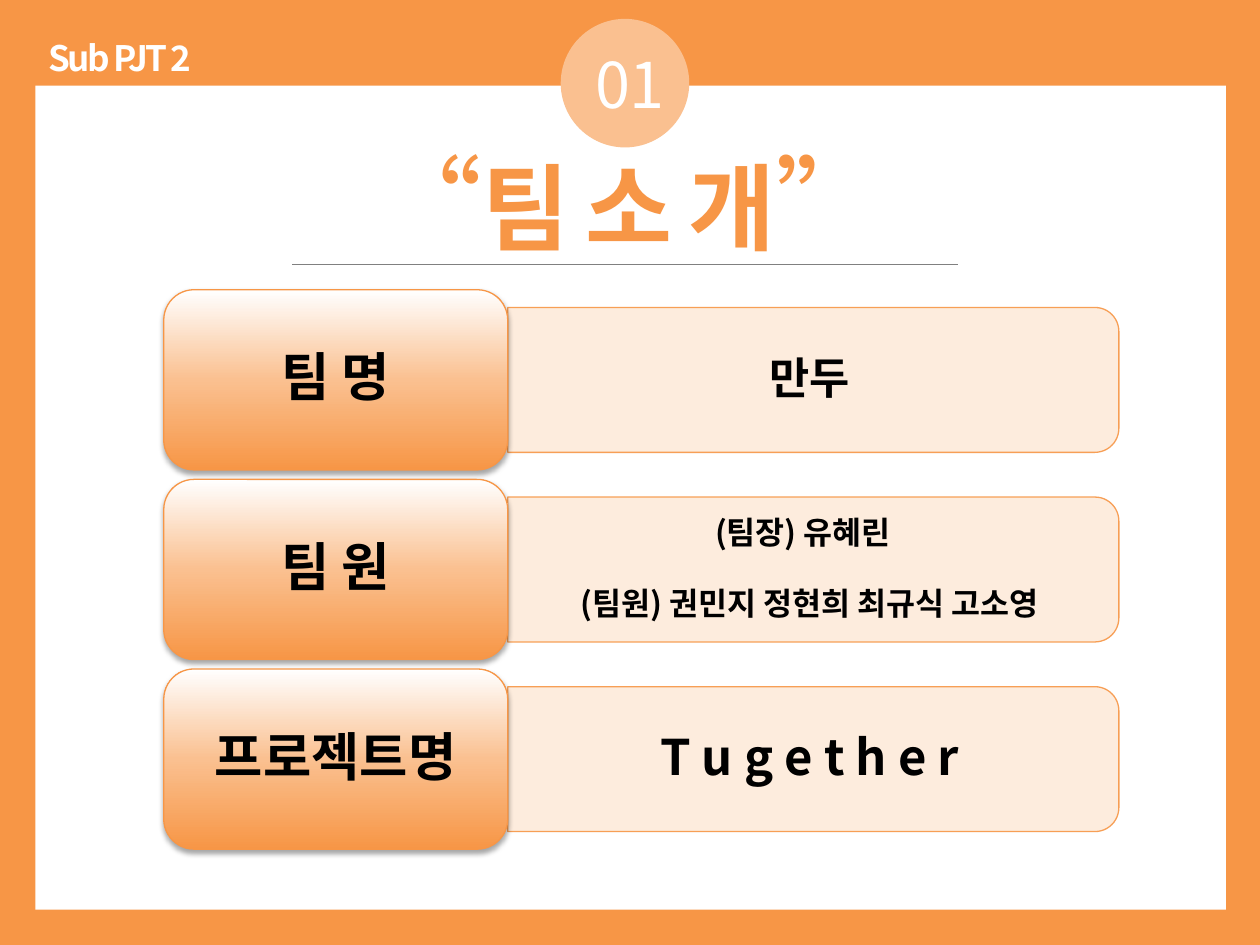
"""Build the team introduction slide."""
import copy
import math

import pptx
import pptx.dml.color
import pptx.enum.dml
import pptx.enum.shapes
import pptx.enum.text
import pptx.oxml
import pptx.oxml.ns
import pptx.util

Inches = pptx.util.Inches
Pt = pptx.util.Pt
qn = pptx.oxml.ns.qn
SHAPE = pptx.enum.shapes.MSO_SHAPE
FONT = "Noto Sans CJK KR"
ORANGE, PEACH, CREAM = "F79646", "FAC090", "FDEADA"
WHITE, BLACK, GRAY = "FFFFFF", "000000", "808080"
ROW_TOP, ROW_PITCH = 2.3, 1.505
LABEL = {"left": 1.3, "width": 2.73, "height": 1.43, "radius": 0.24}
VALUE = {"left": 4.03, "width": 4.85, "height": 1.15, "radius": 0.19}
ROWS = [
    ("팀 명", ["만두"], 25),
    ("팀 원", ["(팀장) 유혜린\t", "(팀원) 권민지 정현희 최규식 고소영"], 18),
    ("프로젝트명", ["T u g e t h e r"], 28),
]


def rgb(color):
    """Turn a hex string into a colour value."""
    return pptx.dml.color.RGBColor.from_string(color)


def set_attrs(obj, values):
    """Set each named value on an object."""
    for name, value in values.items():
        setattr(obj, name, value)


def set_alpha(fill_parent, percent):
    """Make the solid fill inside an element partly transparent."""
    clr = fill_parent.find(qn("a:solidFill"))[0]
    pptx.oxml.ns  # namespace helpers
    alpha = clr.makeelement(qn("a:alpha"), {"val": str(percent * 1000)})
    clr.append(alpha)


def add_run(p, text, size, color, bold=False, spacing=None):
    """Add one formatted run to a paragraph."""
    r = p.add_run()
    r.text = text
    r.font.color.rgb = rgb(color)
    set_attrs(r.font, {"size": Pt(size), "bold": bold, "name": FONT})
    rPr = r.font._element
    rPr.append(rPr.makeelement(qn("a:ea"), {"typeface": FONT}))
    if spacing is not None:
        rPr.set("spc", str(int(spacing * 100)))


def add_text(s, box, runs):
    """Add a centred one-line text box made of formatted runs."""
    tf = s.shapes.add_textbox(*map(Inches, box)).text_frame
    tf.word_wrap = False
    p = tf.paragraphs[0]
    p.alignment = pptx.enum.text.PP_ALIGN.CENTER
    for run in runs:
        add_run(p, *run)


def add_plain(s, kind, box, color):
    """Add a filled shape without outline."""
    sp = s.shapes.add_shape(kind, *map(Inches, box))
    sp.shadow.inherit = False
    sp.fill.solid()
    sp.fill.fore_color.rgb = rgb(color)
    sp.line.fill.background()


def fill_text(sp, lines, size, insets, gap=0):
    """Write bold centred lines into a shape."""
    side_left, side_right, edge = map(Inches, insets)
    tf = sp.text_frame
    set_attrs(tf, {
        "word_wrap": True,
        "vertical_anchor": pptx.enum.text.MSO_ANCHOR.MIDDLE,
        "margin_left": side_left, "margin_right": side_right,
        "margin_top": edge, "margin_bottom": edge,
    })
    for i, line in enumerate(lines):
        p = tf.add_paragraph() if i else tf.paragraphs[0]
        set_attrs(p, {"alignment": pptx.enum.text.PP_ALIGN.CENTER, "line_spacing": 0.9})
        if i:
            p.space_before = Pt(gap)
        add_run(p, line, size, BLACK, True)


def set_outline(sp):
    """Give a shape the thin orange outline."""
    sp.line.color.rgb = rgb(ORANGE)
    sp.line.width = Pt(0.75)


def add_value(s, top, lines, size):
    """Add a pale panel with rounded right corners."""
    left, width, height, rad = VALUE.values()
    right, bottom = left + width, top + height
    points = [(left, top)]
    for cy, start in ((top + rad, -90), (bottom - rad, 0)):
        for step in range(13):
            a = math.radians(start + step * 7.5)
            points.append((right - rad + rad * math.cos(a), cy + rad * math.sin(a)))
    points.append((left, bottom))
    points = [(Inches(x), Inches(y)) for x, y in points]
    builder = s.shapes.build_freeform(*points[0])
    builder.add_line_segments(points[1:], close=True)
    sp = builder.convert_to_shape()
    sp.shadow.inherit = False
    sp.fill.solid()
    sp.fill.fore_color.rgb = rgb(CREAM)
    set_outline(sp)
    spPr = sp._element.spPr
    for parent in (spPr, spPr.find(qn("a:ln"))):
        set_alpha(parent, 90)
    fill_text(sp, lines, size, (0.06, 0.12, 0.09), 21)


def add_label(s, top, text):
    """Add a rounded label with a vertical gradient and a soft shadow."""
    left, width, height, rad = LABEL.values()
    sp = s.shapes.add_shape(SHAPE.ROUNDED_RECTANGLE, *map(Inches, (left, top, width, height)))
    sp.adjustments[0] = rad / height
    sp.fill.gradient()
    sp.fill.gradient_angle = 90
    spPr = sp._element.spPr
    stops = spPr.find(qn("a:gradFill")).find(qn("a:gsLst"))
    stops.insert(1, copy.deepcopy(stops[0]))
    for stop, color, pos in zip(sp.fill.gradient_stops, (ORANGE, PEACH, WHITE), (0, 0.5, 1)):
        stop.color.rgb = rgb(color)
        stop.position = pos
    set_outline(sp)
    sp.shadow.inherit = False
    spPr.find(qn("a:effectLst")).append(pptx.oxml.parse_xml(
        f'<a:outerShdw {pptx.oxml.ns.nsdecls("a")} blurRad="{Pt(3.1)}" dist="{Pt(1.8)}" '
        f'dir="5400000" rotWithShape="0"><a:srgbClr val="{BLACK}">'
        '<a:alpha val="35000"/></a:srgbClr></a:outerShdw>'))
    fill_text(sp, [text], 30, (0.21, 0.21, 0.14))


def add_rule(s, x1, x2, y):
    """Add the thin line under the title."""
    line = s.shapes.add_connector(
        pptx.enum.shapes.MSO_CONNECTOR.STRAIGHT, *map(Inches, (x1, y, x2, y)))
    line.line.color.rgb = rgb(GRAY)
    line.line.width = Pt(0.75)
    spPr = line._element.spPr
    spPr.append(spPr.makeelement(qn("a:effectLst"), {}))


def main():
    """Build and save the slide."""
    prs = pptx.Presentation()
    set_attrs(prs, {"slide_width": Inches(10), "slide_height": Inches(7.5)})
    s = prs.slides.add_slide(prs.slide_layouts[6])
    s.background.fill.solid()
    s.background.fill.fore_color.rgb = rgb(ORANGE)
    add_plain(s, SHAPE.RECTANGLE, (0.28, 0.68, 9.45, 6.54), WHITE)
    add_plain(s, SHAPE.OVAL, (4.45, 0.15, 1.02, 1.02), PEACH)
    add_text(s, (4.41, 0.31, 1.18, 0.71), [("01", 36, WHITE)])
    add_text(s, (1.06, 1.05, 7.87, 1.11), [
        ("“", 60, ORANGE), ("팀 소 개", 54, ORANGE, True, -1.5), ("”", 60, ORANGE)])
    for i, (label, lines, size) in enumerate(ROWS):
        top = ROW_TOP + i * ROW_PITCH
        add_value(s, top + (LABEL["height"] - VALUE["height"]) / 2, lines, size)
        add_label(s, top, label)
    add_rule(s, 2.32, 7.6, 2.1)
    add_text(s, (0.28, 0.24, 1.34, 0.44), [("Sub PJT 2", 20, WHITE, True, -1.5)])
    prs.save("out.pptx")


if __name__ == "__main__":
    main()
